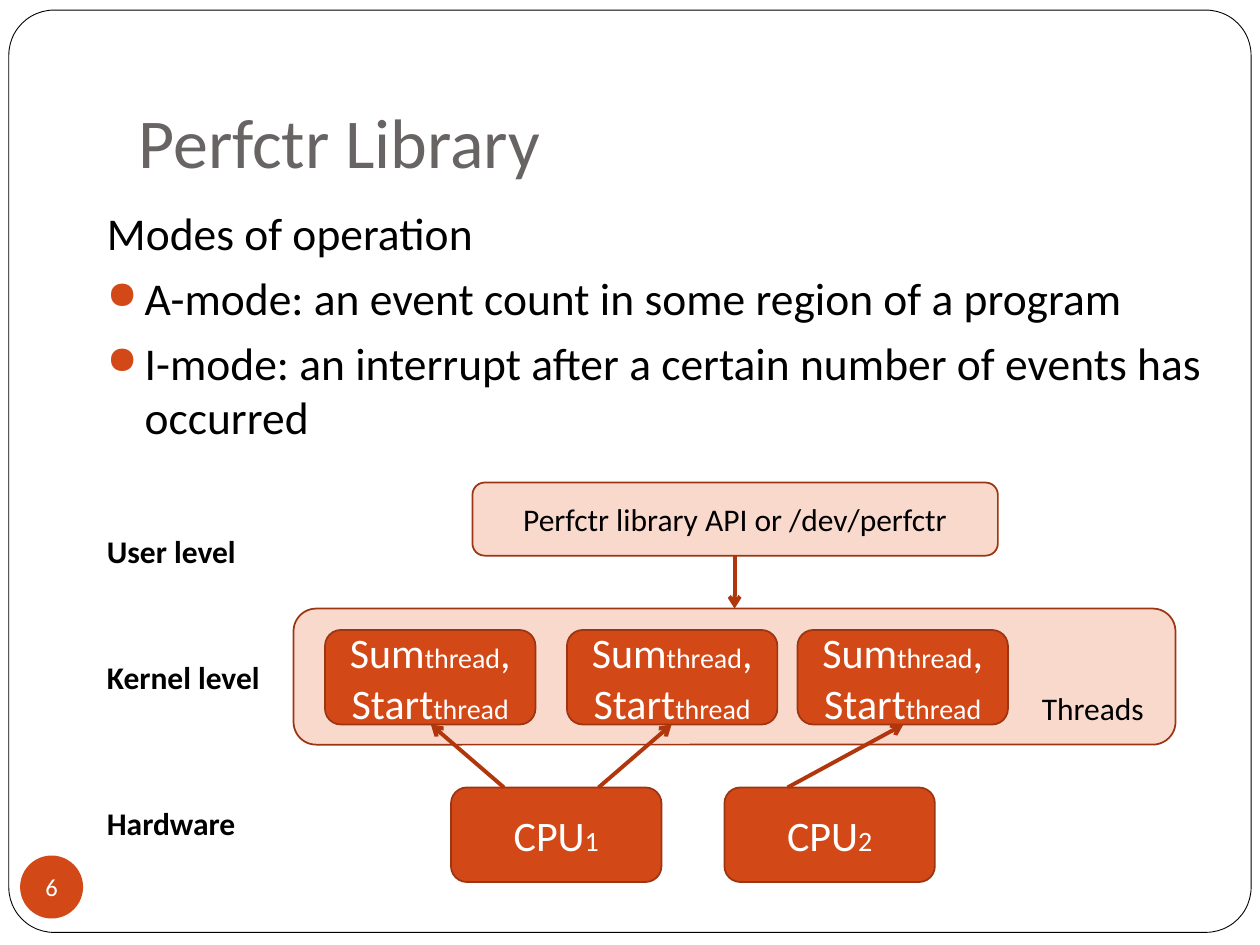
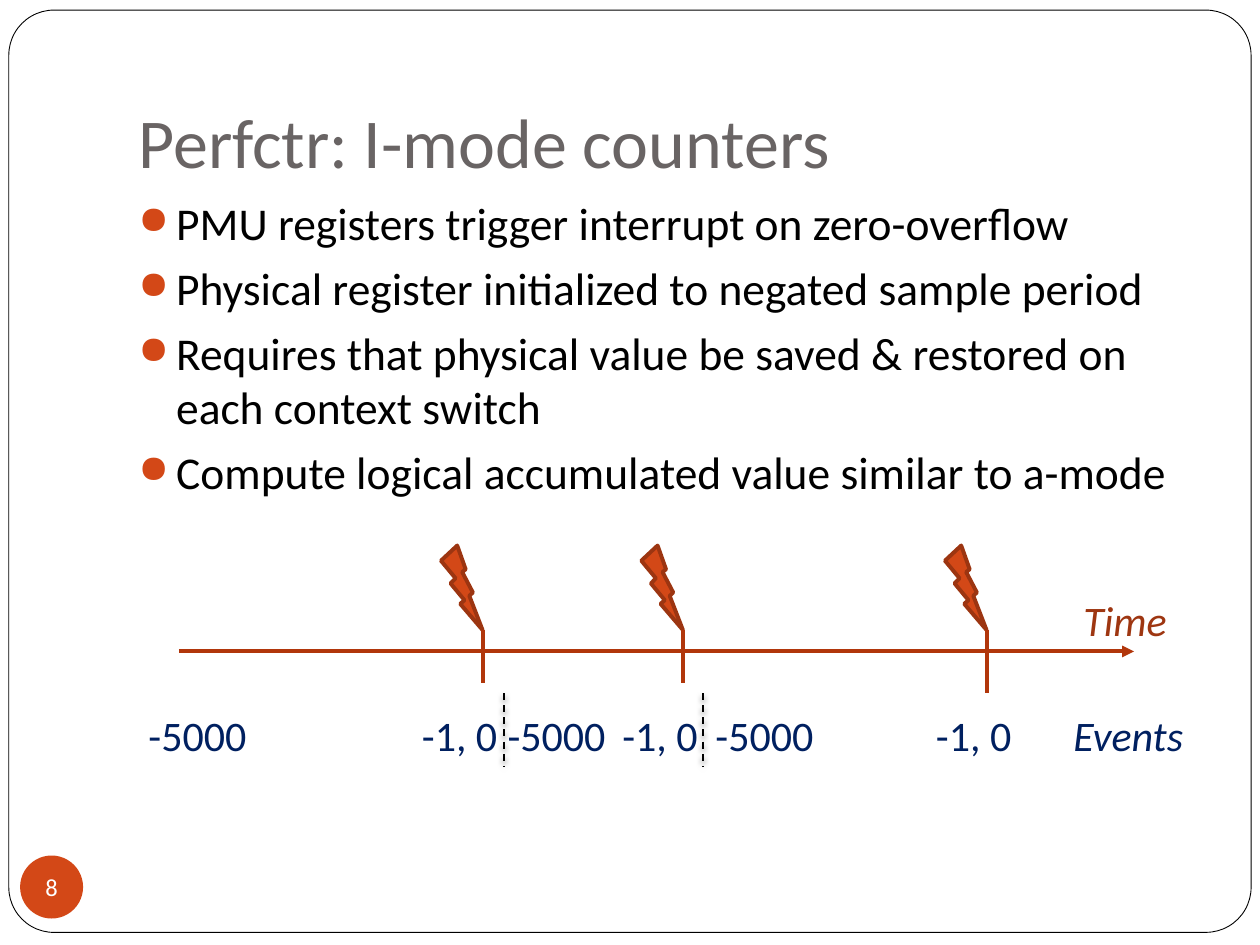
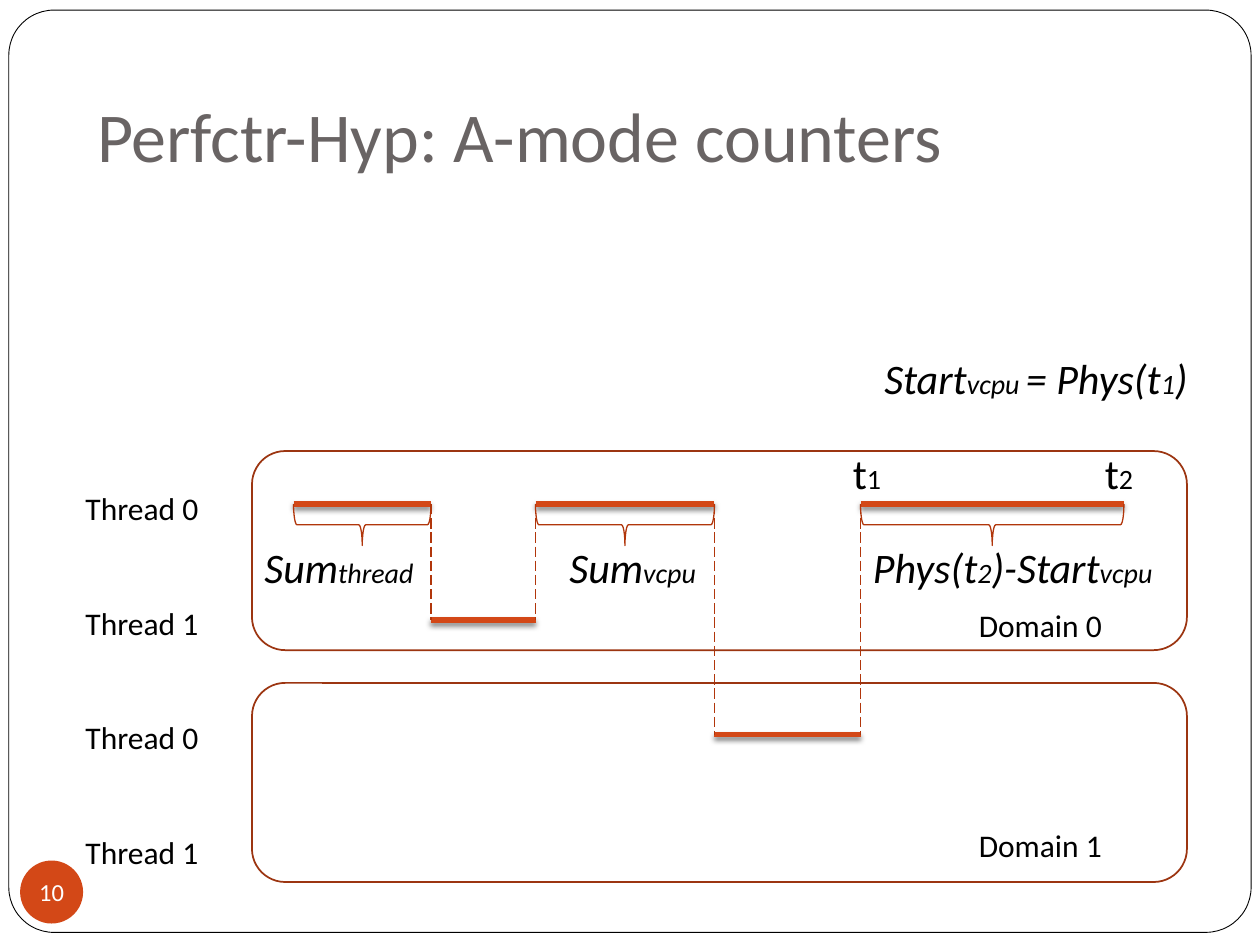
import itertools
from collections import namedtuple

import lxml.etree
import pptx
import pptx.dml.color
import pptx.enum.dml
import pptx.enum.shapes
import pptx.enum.text
import pptx.oxml.ns
import pptx.util

COLORS = {
    "white": "FFFFFF",
    "black": "000000",
    "title": "696464",
    "accent": "D34817",
    "edge": "9C3511",
    "line": "B1360B",
    "pale": "FAD9CD",
    "navy": "002060",
    "time": "9E3611",
}
FONT = "Calibri"
LARGE, SMALL, LABEL = 24, 16, 18
SHAPE = pptx.enum.shapes.MSO_SHAPE
DASH = pptx.enum.dml.MSO_LINE
ANCHOR = pptx.enum.text.MSO_ANCHOR
ALIGN = pptx.enum.text.PP_ALIGN
AUTO_SIZE = pptx.enum.text.MSO_AUTO_SIZE

Area = namedtuple("Area", "slide left top width height")


def length(inches):
    return pptx.util.Cm(2.54 * inches)


def color(name):
    return pptx.dml.color.RGBColor.from_string(COLORS[name])


def apply_formats(target, formats):
    for name, value in formats.items():
        setattr(target, name, value)


def add_element(parent, tag, **attributes):
    element = lxml.etree.SubElement(parent, pptx.oxml.ns.qn(tag))
    for name, value in attributes.items():
        element.set(name, str(value))
    return element


def place(area, x, y, width, height):
    return [length(value) for value in (area.left + x, area.top + y, width, height)]


def write_run(paragraph, text, size, ink, **formats):
    run = paragraph.add_run()
    run.text = text
    apply_formats(run.font, {"name": FONT, "size": pptx.util.Pt(size), **formats})
    run.font.color.rgb = color(ink)


def write_runs(paragraph, texts, ink, **formats):
    for text, size in zip(texts, itertools.cycle((LARGE, SMALL))):
        write_run(paragraph, text, size, ink, **formats)


def add_block(area, kind, box, fill=None, edge=None, width=1):
    shape = area.slide.shapes.add_shape(kind, *place(area, *box))
    shape.shadow.inherit = False
    if fill:
        shape.fill.solid()
        shape.fill.fore_color.rgb = color(fill)
    else:
        shape.fill.background()
    if edge:
        shape.line.color.rgb = color(edge)
        shape.line.width = pptx.util.Pt(width)
    else:
        shape.line.fill.background()
    return shape


def center_text(shape):
    shape.text_frame.vertical_anchor = ANCHOR.MIDDLE
    paragraph = shape.text_frame.paragraphs[0]
    paragraph.alignment = ALIGN.CENTER
    return paragraph


def add_node(area, x, y, texts):
    shape = add_block(area, SHAPE.ROUNDED_RECTANGLE, (x, y, 1.67, 0.75), "accent", "edge")
    write_runs(center_text(shape), texts, "white")


def add_line(area, start, end, ink="line", width=2.25, dash=None, head=None, shadow=False):
    x, y = start
    connector = area.slide.shapes.add_connector(
        pptx.enum.shapes.MSO_CONNECTOR.STRAIGHT,
        *place(area, x, y, area.left + end[0], area.top + end[1]))
    connector.line.color.rgb = color(ink)
    apply_formats(connector.line, {"width": pptx.util.Pt(width), "dash_style": dash})
    properties = connector._element.spPr
    if head:
        add_element(properties.find(pptx.oxml.ns.qn("a:ln")), "a:tailEnd", type=head)
    effects = add_element(properties, "a:effectLst")
    if shadow:
        outer = add_element(effects, "a:outerShdw", blurRad=pptx.util.Pt(3),
                            dist=pptx.util.Pt(2), dir=5400000, rotWithShape=0)
        add_element(add_element(outer, "a:srgbClr", val=COLORS["black"]), "a:alpha", val=50000)


def add_text_box(area, box, wrap=True, auto_size=AUTO_SIZE.SHAPE_TO_FIT_TEXT):
    frame = area.slide.shapes.add_textbox(*place(area, *box)).text_frame
    apply_formats(frame, {"word_wrap": wrap, "auto_size": auto_size})
    return frame


def add_label(area, x, y, width, text, **formats):
    frame = add_text_box(area, (x, y, width, 0.4))
    write_run(frame.paragraphs[0], text, LABEL, "black", **formats)


def add_formula(area, x, y, width, texts, ink="black", **formats):
    frame = add_text_box(area, (x, y, width, 0.5), wrap=False)
    write_runs(frame.paragraphs[0], texts, ink, **formats)


def add_bullets(area, texts, heading=None):
    frame = add_text_box(area, (0, 0, area.width, area.height), auto_size=AUTO_SIZE.NONE)
    lines = ([heading] if heading else []) + texts
    for index, text in enumerate(lines):
        paragraph = frame.add_paragraph() if index else frame.paragraphs[0]
        paragraph.space_before = pptx.util.Pt(5.8)
        write_run(paragraph, text, 26, "black")
        properties = paragraph._p.get_or_add_pPr()
        properties.set("marL", str(length(0.3)))
        properties.set("indent", str(-length(0.3)))
        if text != heading:
            bullet_color = add_element(properties, "a:buClr")
            add_element(bullet_color, "a:srgbClr", val=COLORS["accent"])
            add_element(properties, "a:buSzPct", val=85000)
            add_element(properties, "a:buChar", char="●")


def add_titled_slide(presentation, title, number, title_at=(1, 0.3), number_top=6.79):
    slide = presentation.slides.add_slide(presentation.slide_layouts[5])
    page = Area(slide, 0, 0, 10, 7.5)
    border = add_block(page, SHAPE.ROUNDED_RECTANGLE, (0.07, 0.08, 9.86, 7.32),
                       "white", "black", 0.5)
    border.adjustments[0] = 0.049
    slide.shapes._spTree.insert(2, border._element)

    placeholder = slide.shapes.title
    box = place(page, *title_at, 8.5, 1.25)
    apply_formats(placeholder, dict(zip(("left", "top", "width", "height"), box)))
    apply_formats(placeholder.text_frame, {
        "vertical_anchor": ANCHOR.BOTTOM, "auto_size": AUTO_SIZE.NONE, "word_wrap": True,
        "margin_left": length(0.1), "margin_right": length(0.1),
        "margin_top": length(0.05), "margin_bottom": length(0.1)})
    paragraph = placeholder.text_frame.paragraphs[0]
    paragraph.alignment = ALIGN.LEFT
    write_run(paragraph, title, 40, "title")

    badge = add_block(page, SHAPE.OVAL, (0.16, number_top, 0.5, 0.5), "accent")
    apply_formats(badge.text_frame, {
        "margin_left": 0, "margin_right": 0, "margin_top": 0, "margin_bottom": 0,
        "word_wrap": False})
    write_run(center_text(badge), str(number), 14, "white")
    return slide


def draw_levels(area):
    kernel_top, thread_top, cpu_top = 1, 1.17, 2.42
    thread_bottom = thread_top + 0.75
    for text, y, width in (("User level", 0.34, 1.25), ("Kernel level", 1.34, 1.42),
                           ("Hardware", 2.5, 1.42)):
        add_label(area, 0, y, width, text, bold=True)

    interface = add_block(area, SHAPE.ROUNDED_RECTANGLE, (3, 0, 4.17, 0.58), "pale", "edge")
    write_run(center_text(interface), "Perfctr library API or /dev/perfctr", LABEL, "black")
    add_block(area, SHAPE.ROUNDED_RECTANGLE, (1.58, kernel_top, 7, 1.08), "pale", "edge")
    add_line(area, (5.08, 0.58), (5.08, kernel_top), head="arrow")
    add_label(area, 7.42, 1.59, 1.17, "Threads")

    for x in (1.83, 3.75, 5.58):
        add_node(area, x, thread_top, ["Sum", "thread", ", Start", "thread"])
    for x, number in ((2.83, "1"), (5, "2")):
        add_node(area, x, cpu_top, ["CPU", number])
    for cpu_x, thread_x in ((3.25, 2.67), (4, 4.58), (5.5, 6.42)):
        add_line(area, (cpu_x, cpu_top), (thread_x, thread_bottom), head="arrow")


def draw_event_timeline(area):
    axis_y, label_y = 0.84, 1.25
    ticks = ((2.75, 0.42), (4.34, 0.42), (6.75, 0.5))
    stops = [0.34, 2.75, 4.34, 7.92]
    for start, end in itertools.pairwise(stops):
        add_line(area, (start, axis_y), (end, axis_y),
                 head="triangle" if end == stops[-1] else None)
    for x, drop in ticks:
        add_block(area, SHAPE.LIGHTNING_BOLT, (x - 0.33, 0, 0.33, 0.67), "accent", "edge", 2.25)
        add_line(area, (x, 0.67), (x, 0.67 + drop))
    for x in (0, 2.85, 4.5):
        add_formula(area, x, label_y, 0.99, ["-5000"], "navy")
    for x in (2.17, 3.76, 6.25):
        add_formula(area, x, label_y, 0.81, ["-1, 0"], "navy")
    add_formula(area, 7.34, label_y, 1.09, ["Events"], "navy", italic=True)
    add_formula(area, 7.42, 0.34, 0.88, ["Time"], "time", italic=True)
    for x in (2.92, 4.5):
        add_line(area, (x, 1.17), (x, 1.75), "black", 1, DASH.DASH, shadow=True)


def draw_brace(area, start, end, y):
    depth, span = 0.33, end - start
    box = ((start + end - depth) / 2, y + (depth - span) / 2, depth, span)
    add_block(area, SHAPE.LEFT_BRACE, box, edge="line", width=0.75).rotation = 270


def draw_domains(area):
    levels = (1.25, 2.17, 3.08)
    stops = (1.75, 2.84, 3.67, 5.09, 6.25, 8.34)
    rows = (0, 1, 0, 2, 0)
    for (start, end), row in zip(itertools.pairwise(stops), rows):
        y = levels[row]
        add_line(area, (start, y), (end, y), "accent", 3, shadow=True)
        if row == 0:
            draw_brace(area, start, end, y)
    for x, neighbours in zip(stops[1:], itertools.pairwise(rows)):
        add_line(area, (x, levels[0]), (x, levels[max(neighbours)]), "line", 0.75, DASH.LONG_DASH)

    for index, top in enumerate((0.83, 2.67)):
        add_block(area, SHAPE.ROUNDED_RECTANGLE, (1.42, top, 7.42, 1.58), edge="edge")
        add_label(area, 7.09, 2.01 + 1.75 * index, 1.67, f"Domain {index}")

    frame = add_text_box(area, (0, 1.08, 1.42, 3.13))
    for index in range(4):
        paragraph = frame.add_paragraph() if index else frame.paragraphs[0]
        paragraph.space_before = pptx.util.Pt(44 if index else 0)
        write_run(paragraph, f"Thread {index % 2}", LABEL, "black")

    for x, number in ((6.09, "1"), (8.09, "2")):
        add_formula(area, x, 0.75, 0.5, ["t", number])
    for x, y, width, texts in (
            (1.42, 1.5, 1.4, ["Sum", "thread"]),
            (3.84, 1.5, 1.22, ["Sum", "vcpu"]),
            (6.25, 1.5, 2.44, ["Phys(t", "2", ")-Start", "vcpu"]),
            (6.34, 0, 2.66, ["Start", "vcpu ", "= Phys(t", "1", ")"])):
        add_formula(area, x, y, width, texts, italic=True)


presentation = pptx.Presentation()
presentation.slide_width = length(10)
presentation.slide_height = length(7.5)

slide = add_titled_slide(presentation, "Perfctr Library", 6)
draw_levels(Area(slide, 0.75, 3.83, 8.58, 3.17))
add_bullets(Area(slide, 0.75, 1.58, 8.92, 2.08), [
    "A-mode: an event count in some region of a program",
    "I-mode: an interrupt after a certain number of events has occurred",
], heading="Modes of operation")

slide = add_titled_slide(presentation, "Perfctr: I-mode counters", 8)
add_bullets(Area(slide, 1, 1.5, 8.5, 5), [
    "PMU registers trigger interrupt on zero-overflow",
    "Physical register initialized to negated sample period",
    "Requires that physical value be saved & restored on each context switch",
    "Compute logical accumulated value similar to a-mode",
])
draw_event_timeline(Area(slide, 1.08, 4.33, 8.42, 1.75))

slide = add_titled_slide(presentation, "Perfctr-Hyp: A-mode counters", 10, (0.67, 0.25), 6.83)
draw_domains(Area(slide, 0.58, 2.75, 8.84, 4.25))

presentation.save("out.pptx")
